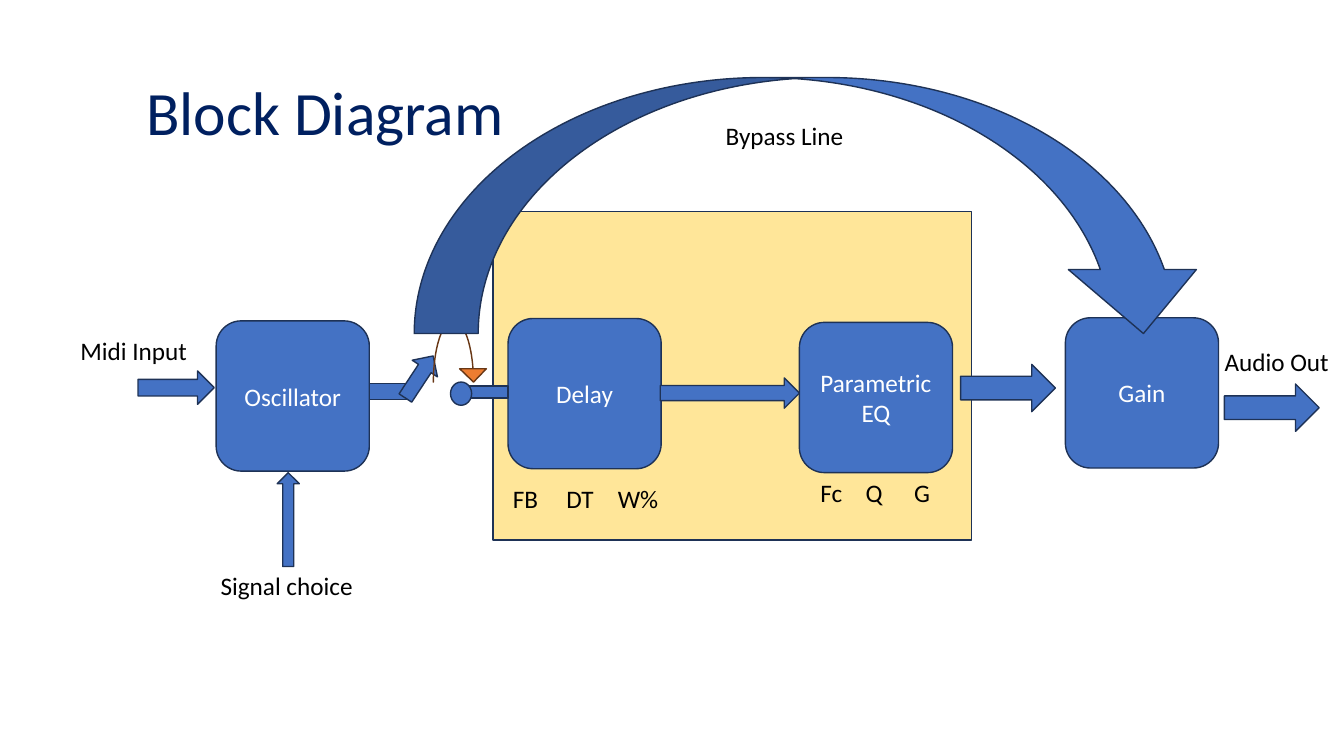
from dataclasses import dataclass

import pptx
import pptx.dml.color
import pptx.enum.shapes
import pptx.enum.text
import pptx.util

Pt = pptx.util.Pt
RGBColor = pptx.dml.color.RGBColor
MSO = pptx.enum.shapes.MSO_SHAPE
ALIGN = pptx.enum.text.PP_ALIGN
ANCHOR = pptx.enum.text.MSO_ANCHOR

BLUE = RGBColor(0x44, 0x72, 0xC4)
DARK_BLUE = RGBColor(0x1E, 0x32, 0x56)
NAVY = RGBColor(0x00, 0x20, 0x60)
YELLOW = RGBColor(0xFF, 0xE6, 0x99)
ORANGE = RGBColor(0xED, 0x7D, 0x31)
BROWN = RGBColor(0x68, 0x37, 0x15)
WHITE = RGBColor(0xFF, 0xFF, 0xFF)
BLACK = RGBColor(0x00, 0x00, 0x00)

FONT = "Calibri"
BLOCK_W, BLOCK_H = 109.4, 107.3
LABEL_H = 29
DELAY_LABEL_Y, EQ_LABEL_Y = 342, 337.7


@dataclass(frozen=True)
class Figure:
    kind: MSO
    x: float
    y: float
    w: float
    h: float
    text: str = ""
    fill: RGBColor = BLUE
    line: RGBColor = DARK_BLUE
    rotation: float = 0
    adjustments: tuple[float, ...] = ()


@dataclass(frozen=True)
class Label:
    text: str
    x: float
    y: float
    w: float
    wrap: bool = False


def block(text: str, x: float, y: float) -> Figure:
    return Figure(MSO.ROUNDED_RECTANGLE, x, y, BLOCK_W, BLOCK_H, text)


FIGURES = [
    # Effects section and processing blocks
    Figure(MSO.RECTANGLE, 352.1, 151.2, 342, 234.7, fill=YELLOW),
    block("Oscillator", 154.4, 229.2),
    block("Parametric EQ", 571, 230.3),
    block("Delay", 362.9, 227.5),
    block("Gain", 761, 227),
    # Delay to EQ
    Figure(MSO.RIGHT_ARROW, 471.6, 270, 99.4, 21.6),
    # Bypass switch
    Figure(MSO.MATH_MINUS, 259.2, 254.9, 36.7, 49.7),
    Figure(MSO.UP_ARROW, 288.7, 251.3, 21.6, 36, rotation=33.4),
    Figure(MSO.MATH_MINUS, 319.7, 262.1, 49.7, 36),
    Figure(MSO.CURVED_DOWN_ARROW, 309.6, 229, 38.2, 43.9, fill=ORANGE,
           line=BROWN, adjustments=(0, 0.6, 0.25)),
    Figure(MSO.OVAL, 321.8, 272.9, 15.1, 16.6),
    # Inputs, outputs and bypass line
    Figure(MSO.RIGHT_ARROW, 98.6, 265, 54.4, 23.8),
    Figure(MSO.RIGHT_ARROW, 686.2, 260.3, 67.7, 33.8),
    Figure(MSO.RIGHT_ARROW, 874.6, 274.3, 67.7, 33.8),
    Figure(MSO.CURVED_DOWN_ARROW, 295.9, 55.4, 566.6, 182.9),
    Figure(MSO.UP_ARROW, 198, 337.7, 15.8, 67),
]

LABELS = [
    Label("Midi Input", 50.4, 236.2, 91.4),
    Label("Audio Out", 867.6, 244.1, 90),
    Label("Bypass Line", 511.2, 82.1, 99.4),
    Label("Signal choice", 150.5, 403.9, 110.2),
    Label("FB", 359.3, DELAY_LABEL_Y, 32.4),
    Label("DT", 397.4, DELAY_LABEL_Y, 34.6),
    Label("W%", 434.2, DELAY_LABEL_Y, 43.9),
    Label("Fc", 578.9, EQ_LABEL_Y, 30.2),
    Label("Q", 611.3, EQ_LABEL_Y, 26.6),
    Label("G", 645.8, EQ_LABEL_Y, 20.2, wrap=True),
]


def add_run(p, text: str, size: float, color: RGBColor) -> None:
    r = p.add_run()
    r.text = text
    r.font.name = FONT
    r.font.size = Pt(size)
    r.font.color.rgb = color


def add_title(s, text: str) -> None:
    sp = s.shapes.title
    sp.left, sp.top, sp.width, sp.height = Pt(97.2), Pt(30.2), Pt(828), Pt(104.4)
    tf = sp.text_frame
    tf.vertical_anchor = ANCHOR.MIDDLE
    p = tf.paragraphs[0]
    p.alignment = ALIGN.LEFT
    p.line_spacing = 0.9
    add_run(p, text, 44, NAVY)


def add_figure(s, f: Figure) -> None:
    sp = s.shapes.add_shape(f.kind, Pt(f.x), Pt(f.y), Pt(f.w), Pt(f.h))
    sp.shadow.inherit = False
    sp.rotation = f.rotation
    sp.fill.solid()
    sp.fill.fore_color.rgb = f.fill
    sp.line.color.rgb = f.line
    sp.line.width = Pt(1)
    for i, value in enumerate(f.adjustments):
        sp.adjustments[i] = value
    if f.text:
        tf = sp.text_frame
        tf.word_wrap = True
        tf.vertical_anchor = ANCHOR.MIDDLE
        p = tf.paragraphs[0]
        p.alignment = ALIGN.CENTER
        add_run(p, f.text, 18, WHITE)


def add_label(s, label: Label) -> None:
    sp = s.shapes.add_textbox(Pt(label.x), Pt(label.y), Pt(label.w), Pt(LABEL_H))
    tf = sp.text_frame
    tf.word_wrap = label.wrap
    tf.auto_size = pptx.enum.text.MSO_AUTO_SIZE.SHAPE_TO_FIT_TEXT
    add_run(tf.paragraphs[0], label.text, 18, BLACK)


def main() -> None:
    prs = pptx.Presentation()
    prs.slide_width, prs.slide_height = Pt(960), Pt(540)
    s = prs.slides.add_slide(prs.slide_layouts.get_by_name("Title Only"))
    add_title(s, "Block Diagram")
    for f in FIGURES:
        add_figure(s, f)
    for label in LABELS:
        add_label(s, label)
    prs.save("out.pptx")


if __name__ == "__main__":
    main()
